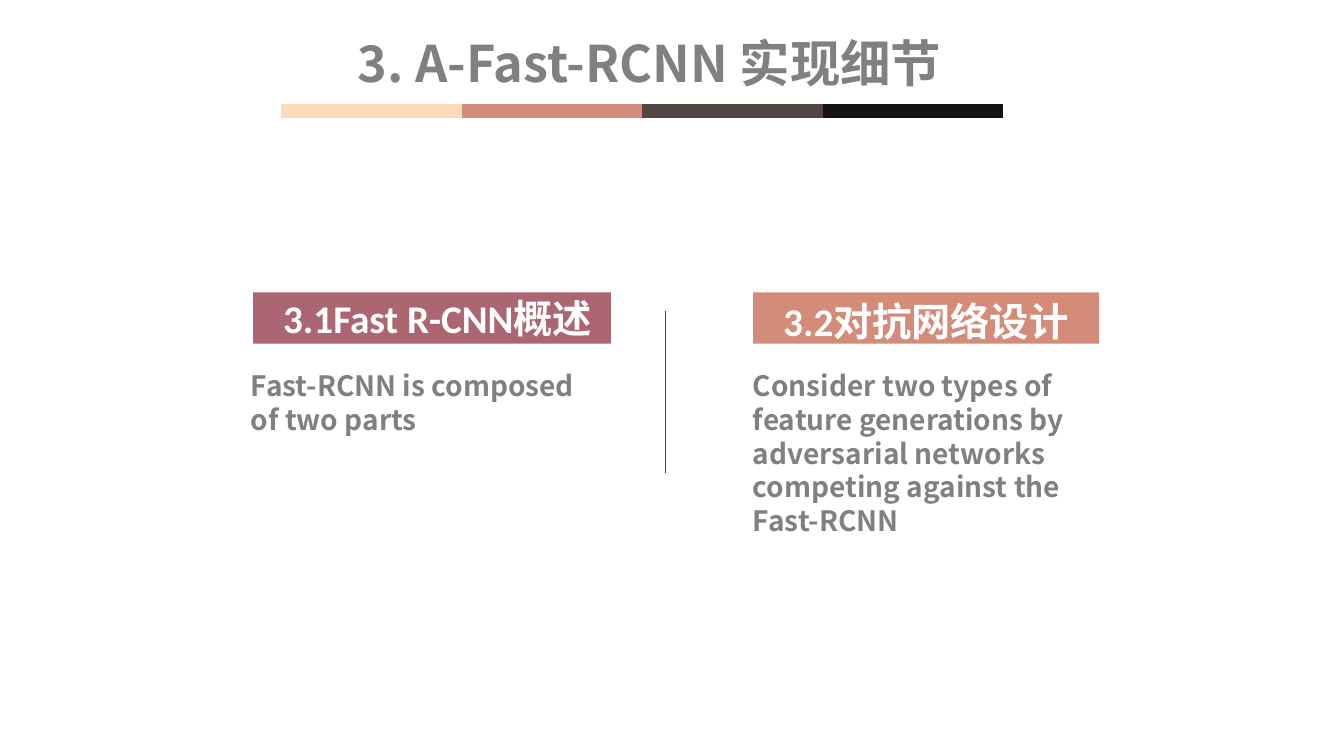
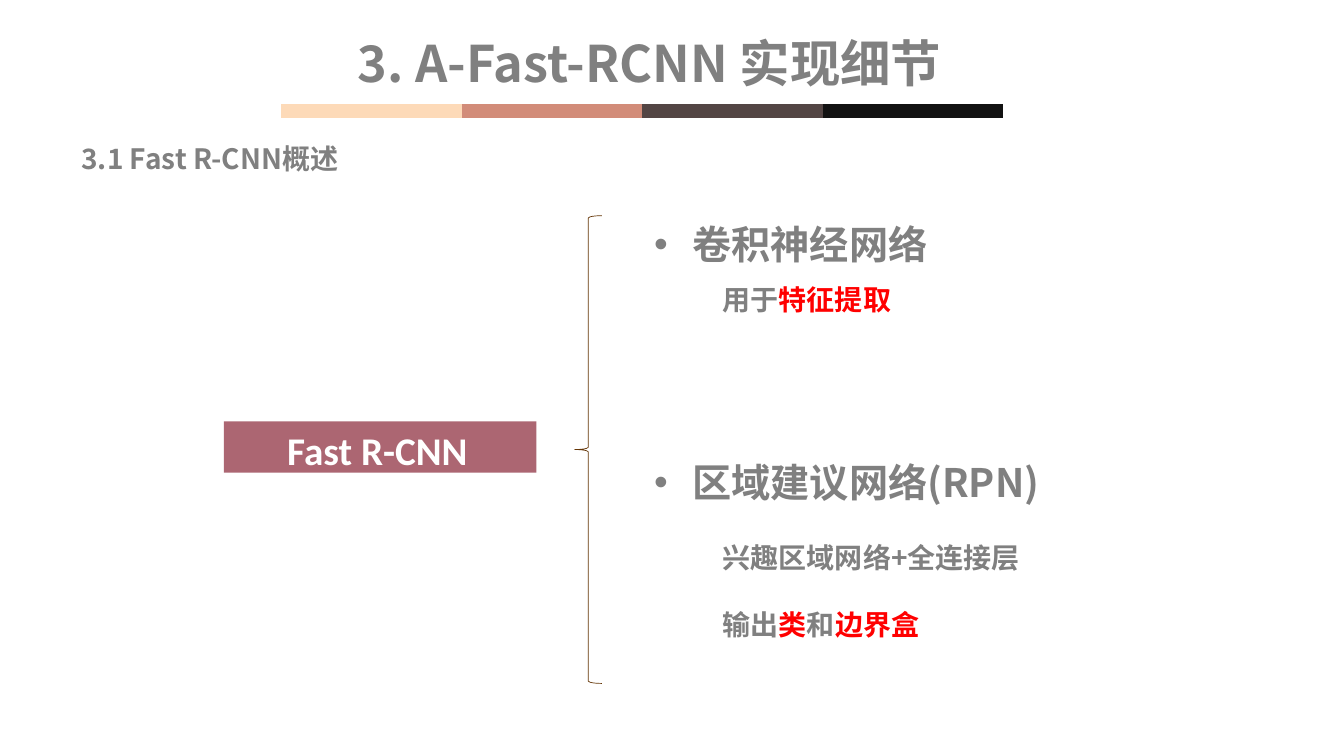
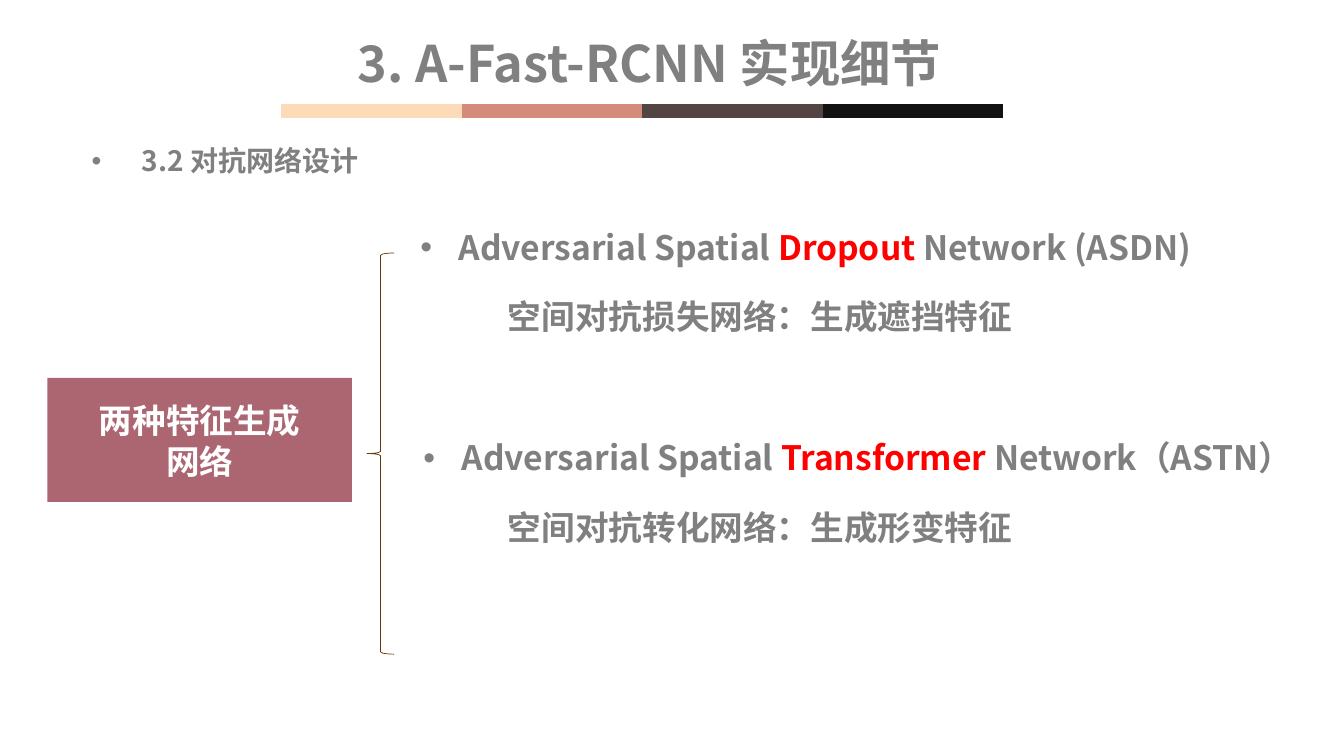
from lxml import etree
from pptx import Presentation
from pptx.dml.color import RGBColor
from pptx.enum.shapes import MSO_CONNECTOR, MSO_SHAPE
from pptx.enum.text import MSO_ANCHOR, PP_ALIGN
from pptx.oxml.ns import qn
from pptx.util import Inches, Pt

LINE = MSO_CONNECTOR.STRAIGHT
RECT = MSO_SHAPE.RECTANGLE
BRACE = MSO_SHAPE.LEFT_BRACE
TOP, MIDDLE = MSO_ANCHOR.TOP, MSO_ANCHOR.MIDDLE
LEFT, CENTER = PP_ALIGN.LEFT, PP_ALIGN.CENTER

HUES = {
    "cream": "FDDAB8", "coral": "D28C79", "brown": "534544", "black": "121212",
    "rose": "AC6672", "gray": "808080", "red": "FF0000", "white": "FFFFFF",
    "rule": "404040", "brace": "653607",
}
BAND = ("cream", "coral", "brown", "black")
SANS = "Noto Sans CJK SC"
LATIN = "Calibri"
TITLE = "3. A-Fast-RCNN 实现细节"


def hue(name):
    return RGBColor.from_string(HUES[name])


class Deck:
    def __init__(self):
        self.file = Presentation()
        self.file.slide_width = Inches(13.33)
        self.file.slide_height = Inches(7.5)
        self.slide = None

    def page(self):
        self.slide = self.file.slides.add_slide(self.file.slide_layouts[6])
        step = 1.79
        for i, color in enumerate(BAND):
            left = 2.79 + i * step
            self.line(left, 1.1, left + step, 1.1, color, 10)
        self.head(3.45, 0.34, 6.3, 0.63, TITLE, 36)

    def line(self, x1, y1, x2, y2, color, width):
        line = self.slide.shapes.add_connector(
            LINE, Inches(x1), Inches(y1), Inches(x2), Inches(y2))
        line.line.color.rgb = hue(color)
        line.line.width = Pt(width)
        etree.SubElement(line._element.spPr, qn("a:effectLst"))

    def shape(self, kind, x, y, w, h):
        shape = self.slide.shapes.add_shape(
            kind, Inches(x), Inches(y), Inches(w), Inches(h))
        shape.shadow.inherit = False
        return shape

    def block(self, x, y, w, h, color):
        block = self.shape(RECT, x, y, w, h)
        block.fill.solid()
        block.fill.fore_color.rgb = hue(color)
        block.line.fill.background()

    def brace(self, x, y, h):
        brace = self.shape(BRACE, x, y, 0.27, h)
        brace.fill.background()
        brace.line.color.rgb = hue("brace")
        brace.line.width = Pt(0.5)

    def text(self, x, y, w, h, parts, size, font=SANS, colors=("gray", "red"),
             align=LEFT, anchor=TOP, indent=0, space=None):
        box = self.slide.shapes.add_textbox(
            Inches(x), Inches(y), Inches(w), Inches(h))
        frame = box.text_frame
        frame.word_wrap = True
        frame.vertical_anchor = anchor
        para = frame.paragraphs[0]
        para.alignment = align
        para.line_spacing = space
        if indent:
            props = para._p.get_or_add_pPr()
            props.set("marL", str(Inches(indent)))
            props.set("indent", str(-Inches(indent)))
            etree.SubElement(props, qn("a:buFont")).set("typeface", "Arial")
            etree.SubElement(props, qn("a:buChar")).set("char", "•")
        for i, part in enumerate([parts] if isinstance(parts, str) else parts):
            run = para.add_run()
            run.text = part
            run.font.size = Pt(size)
            run.font.bold = True
            run.font.name = font
            run.font.color.rgb = hue(colors[i % len(colors)])

    def head(self, x, y, w, h, words, size, indent=0):
        self.text(x, y, w, h, words, size, anchor=MIDDLE, indent=indent, space=0.9)

    def label(self, x, y, w, h, words, size=28, align=LEFT):
        self.text(x, y, w, h, words, size, LATIN, ("white",), align)

    def point(self, x, y, w, h, parts, size):
        self.text(x, y, w, h, parts, size, indent=0.38)


def main():
    deck = Deck()

    deck.page()
    deck.block(2.51, 2.9, 3.55, 0.51, "rose")
    deck.block(7.47, 2.9, 3.43, 0.51, "coral")
    deck.label(2.71, 2.87, 3.89, 0.57, "3.1Fast R-CNN概述")
    deck.label(7.67, 2.9, 3.43, 0.57, "3.2对抗网络设计")
    deck.line(6.6, 3.09, 6.6, 4.69, "rule", 0.5)
    deck.text(2.39, 3.61, 3.67, 0.77, "Fast-RCNN is composed of two parts", 20)
    deck.text(7.37, 3.61, 3.67, 1.78,
              "Consider two types of feature generations by adversarial "
              "networks competing against the Fast-RCNN", 20)

    deck.page()
    deck.head(0.71, 1.39, 4.87, 0.4, "3.1 Fast R-CNN概述", 20)
    deck.block(2.22, 4.18, 3.1, 0.51, "rose")
    deck.label(2.75, 4.18, 2.07, 0.57, "Fast R-CNN")
    deck.brace(5.7, 2.14, 4.64)
    deck.point(6.39, 2.14, 3.67, 0.57, "卷积神经网络", 28)
    deck.point(6.39, 4.5, 4.36, 0.57, "区域建议网络(RPN)", 28)
    for y, parts in (
        (2.75, ("用于", "特征提取")),
        (5.31, "兴趣区域网络+全连接层"),
        (5.98, ("输出", "类", "和", "边界盒")),
    ):
        deck.text(7.07, y, 4.15, 0.44, parts, 20)

    deck.page()
    deck.head(0.81, 1.41, 4.87, 0.4, "3.2 对抗网络设计", 20, indent=0.5)
    deck.block(0.47, 3.75, 3.02, 1.23, "rose")
    deck.label(0.72, 3.92, 2.52, 0.91, "两种特征生成网络", 24, CENTER)
    deck.brace(3.64, 2.51, 3.98)
    for x, y, w, key, tail, note in (
        (4.07, 2.2, 8.11, "Dropout", " Network (ASDN)",
         "空间对抗损失网络：生成遮挡特征"),
        (4.1, 4.29, 9.12, "Transformer", " Network（ASTN）",
         "空间对抗转化网络：生成形变特征"),
    ):
        deck.point(x, y, w, 0.5, ("Adversarial Spatial ", key, tail), 24)
        deck.text(4.94, y + 0.69, 7.44, 0.5, note, 24)

    deck.file.save("out.pptx")


if __name__ == "__main__":
    main()
